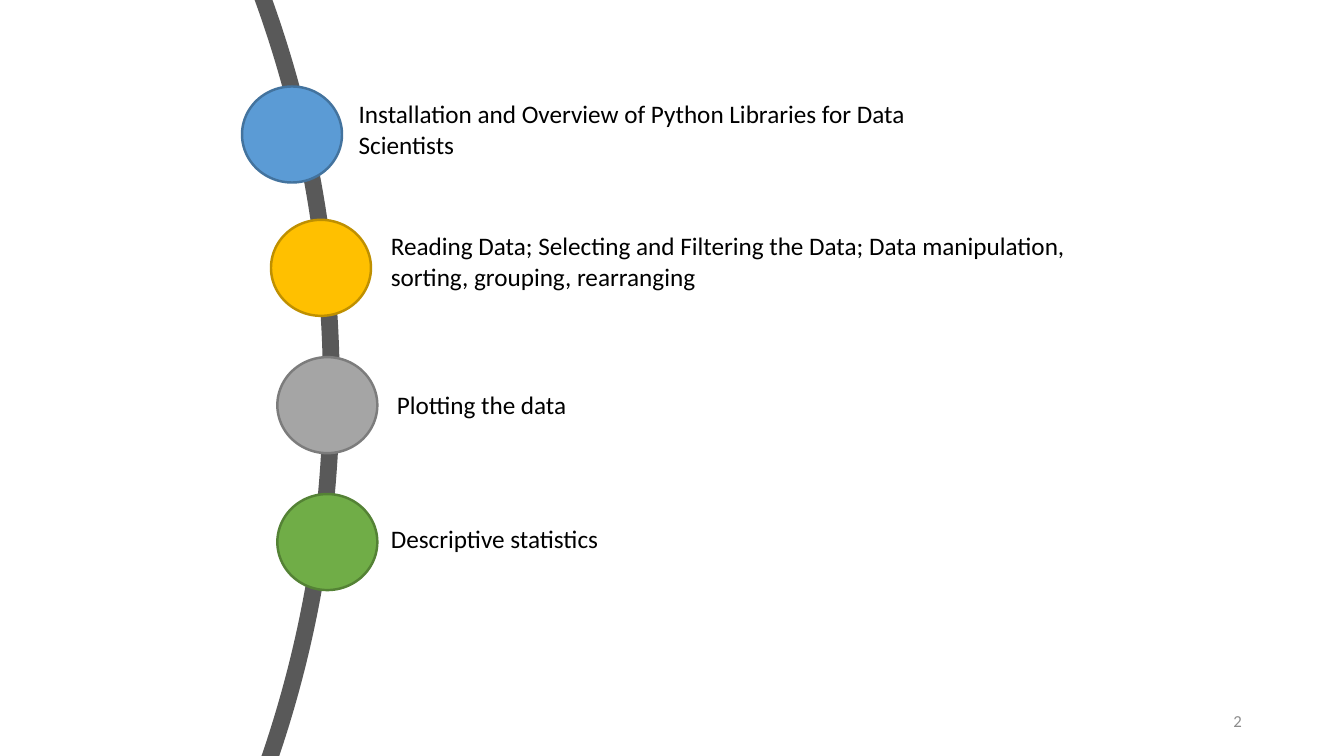
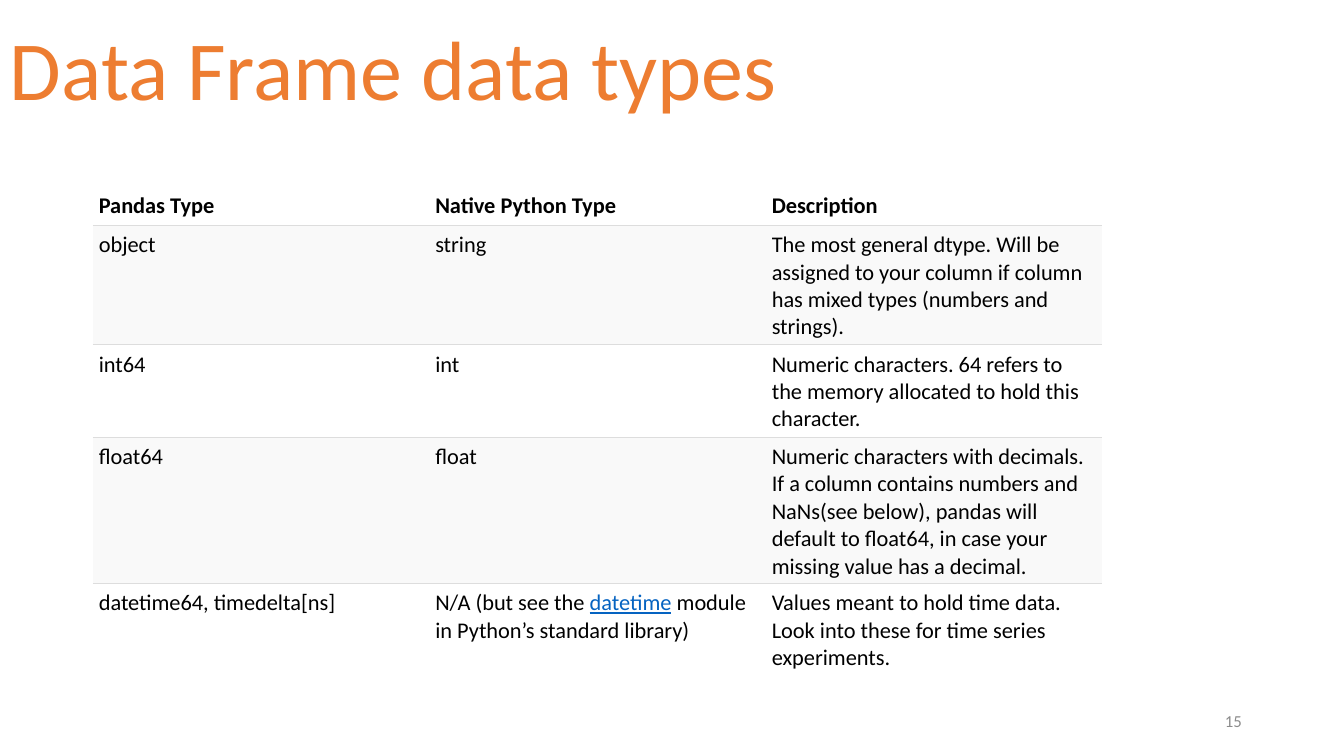
"""Build a topic roadmap slide and a data type table slide."""
from lxml.etree import SubElement
from pptx import Presentation
from pptx.dml.color import RGBColor
from pptx.enum.shapes import MSO_SHAPE
from pptx.enum.text import MSO_ANCHOR as Anchor, PP_ALIGN as Align
from pptx.oxml.ns import qn
from pptx.util import Cm, Pt

FONT = "Calibri"
BLACK = RGBColor(0x00, 0x00, 0x00)
WHITE = RGBColor(0xFF, 0xFF, 0xFF)
STRIPE = RGBColor(0xF9, 0xF9, 0xF9)
RULE = RGBColor(0xDD, 0xDD, 0xDD)
ORANGE = RGBColor(0xED, 0x7D, 0x31)
LINK_BLUE = RGBColor(0x05, 0x63, 0xC1)
PAGE_GRAY = RGBColor(0x8C, 0x8C, 0x8C)
ARC_GRAY = RGBColor(0x59, 0x59, 0x59)
NO_TABLE_STYLE = "{2D5ABB26-0587-4C30-8999-92F81FD0307C}"

DOT_SIZE = (2.52, 2.42)
TOPICS = [
    ("Installation and Overview of Python Libraries for Data Scientists",
     (6.1, 2.18), (8.79, 2.36, 15.14, 1.8),
     RGBColor(0x5B, 0x9B, 0xD5), RGBColor(0x43, 0x73, 0x9E)),
    ("Reading Data; Selecting and Filtering the Data; Data manipulation, "
     "sorting, grouping, rearranging",
     (6.83, 5.54), (9.6, 5.69, 19.53, 1.8),
     RGBColor(0xFF, 0xC0, 0x00), RGBColor(0xBF, 0x90, 0x00)),
    ("Plotting the data",
     (6.99, 9), (9.75, 9.68, 14.66, 1.02),
     RGBColor(0xA5, 0xA5, 0xA5), RGBColor(0x7C, 0x7C, 0x7C)),
    ("Descriptive statistics",
     (6.99, 12.45), (9.6, 13.06, 14.66, 1.02),
     RGBColor(0x70, 0xAD, 0x47), RGBColor(0x54, 0x82, 0x35)),
]

LINK_WORD = "datetime"
DATA_TYPES = [
    ("Pandas Type", "Native Python Type", "Description"),
    ("object", "string",
     "The most general dtype. Will be assigned to your column if column "
     "has mixed types (numbers and strings)."),
    ("int64", "int",
     "Numeric characters. 64 refers to the memory allocated to hold this "
     "character."),
    ("float64", "float",
     "Numeric characters with decimals. If a column contains numbers and "
     "NaNs(see below), pandas will default to float64, in case your missing "
     "value has a decimal."),
    ("datetime64, timedelta[ns]",
     ("N/A (but see the ", LINK_WORD, " module in Python’s standard library)"),
     "Values meant to hold time data. Look into these for time series "
     "experiments."),
]
COLUMN_WIDTH = 8.48
ROW_HEIGHTS = [0.97, 2.95, 2.29, 3.61, 2.29]


def style_run(run, size, color=BLACK, bold=False):
    run.font.name = FONT
    run.font.size = Pt(size)
    run.font.bold = bold
    run.font.color.rgb = color


def add_text(slide, text, box, size, color=BLACK, align=Align.LEFT,
             anchor=Anchor.TOP):
    frame = slide.shapes.add_textbox(*map(Cm, box)).text_frame
    frame.word_wrap = True
    frame.vertical_anchor = anchor
    frame.text = text
    paragraph = frame.paragraphs[0]
    paragraph.alignment = align
    style_run(paragraph.runs[0], size, color)
    return paragraph


def add_title(slide, text):
    title = add_text(slide, text, (0, 0, 29.21, 3.68), 60, ORANGE,
                     anchor=Anchor.MIDDLE)
    title.line_spacing = 0.9


def add_page_number(slide, number):
    add_text(slide, str(number), (23.93, 17.65, 7.62, 1.02), 12, PAGE_GRAY,
             Align.RIGHT, Anchor.MIDDLE)


def add_circle(slide, box, outline, width, fill=None):
    circle = slide.shapes.add_shape(MSO_SHAPE.OVAL, *map(Cm, box))
    circle.shadow.inherit = False
    if fill is None:
        circle.fill.background()
    else:
        circle.fill.solid()
        circle.fill.fore_color.rgb = fill
    circle.line.color.rgb = outline
    circle.line.width = Pt(width)


def add_rule(cell, edge):
    line = SubElement(cell._tc.get_or_add_tcPr(), qn(edge), w=str(Pt(0.6)))
    fill = SubElement(line, qn("a:solidFill"))
    SubElement(fill, qn("a:srgbClr"), val=str(RULE))


def fill_cell(cell, content, row, last_row):
    is_header = row == 0
    cell.margin_left = cell.margin_right = Cm(0.15)
    cell.margin_top = cell.margin_bottom = Cm(0.15)
    cell.vertical_anchor = Anchor.BOTTOM if is_header else Anchor.TOP
    if not is_header:
        add_rule(cell, "a:lnT")
    if row < last_row:
        add_rule(cell, "a:lnB")
    cell.fill.solid()
    cell.fill.fore_color.rgb = STRIPE if row % 2 else WHITE
    parts = (content,) if isinstance(content, str) else content
    for part in parts:
        run = cell.text_frame.paragraphs[0].add_run()
        run.text = part
        is_link = part == LINK_WORD
        style_run(run, 16, LINK_BLUE if is_link else BLACK, is_header)
        run.font.underline = is_link


def add_type_table(slide):
    columns = len(DATA_TYPES[0])
    box = (2.34, 4.7, columns * COLUMN_WIDTH, sum(ROW_HEIGHTS))
    frame = slide.shapes.add_table(len(DATA_TYPES), columns, *map(Cm, box))
    table = frame.table
    table.first_row = table.horz_banding = False
    table._tbl.tblPr.find(qn("a:tableStyleId")).text = NO_TABLE_STYLE
    for column in table.columns:
        column.width = Cm(COLUMN_WIDTH)
    for row, contents in enumerate(DATA_TYPES):
        table.rows[row].height = Cm(ROW_HEIGHTS[row])
        for column, content in enumerate(contents):
            fill_cell(table.cell(row, column), content, row,
                      len(DATA_TYPES) - 1)


def build_roadmap(slide):
    add_page_number(slide, 2)
    add_circle(slide, (-49.23, -19.02, 57.58, 57.58), ARC_GRAY, 12)
    for text, dot_corner, label_box, fill, outline in TOPICS:
        add_circle(slide, dot_corner + DOT_SIZE, outline, 1.75, fill)
        add_text(slide, text, label_box, 18)


def build_data_types(slide):
    add_title(slide, "Data Frame data types")
    add_type_table(slide)
    add_page_number(slide, 15)


def main():
    deck = Presentation()
    deck.slide_width = Cm(33.87)
    deck.slide_height = Cm(19.05)
    for build in (build_roadmap, build_data_types):
        build(deck.slides.add_slide(deck.slide_layouts[6]))
    deck.save("out.pptx")


if __name__ == "__main__":
    main()
